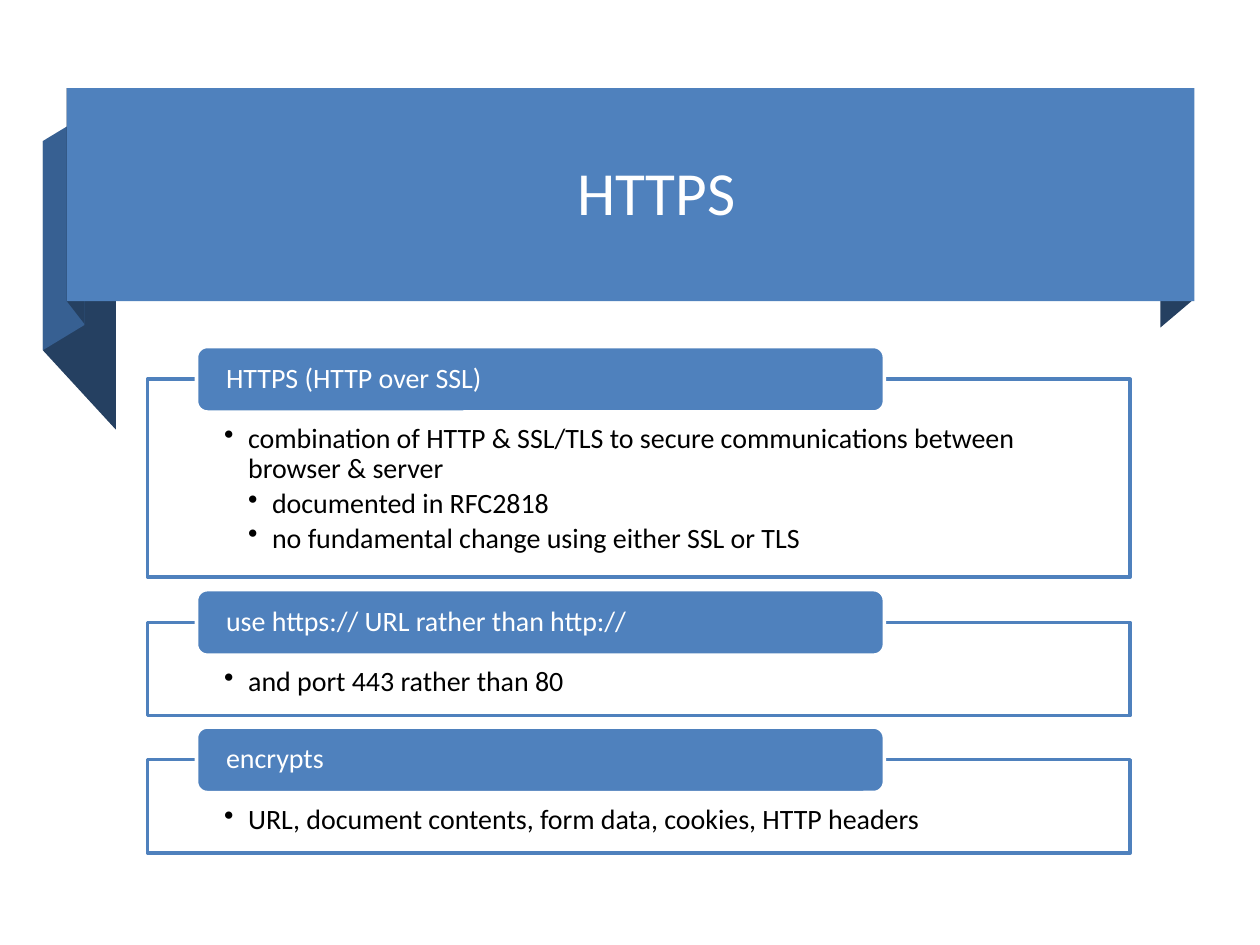
from lxml import etree
from pptx import Presentation
from pptx.dml.color import RGBColor
from pptx.enum.shapes import MSO_SHAPE
from pptx.enum.text import MSO_ANCHOR, PP_ALIGN
from pptx.oxml.ns import qn
from pptx.util import Inches, Pt

RECT, ROUNDED = MSO_SHAPE.RECTANGLE, MSO_SHAPE.ROUNDED_RECTANGLE
TOP, MIDDLE = MSO_ANCHOR.TOP, MSO_ANCHOR.MIDDLE
LEFT, CENTER = PP_ALIGN.LEFT, PP_ALIGN.CENTER
BLUE, MID_BLUE, NAVY = "4F81BD", "376092", "254061"
WHITE, BLACK = "FFFFFF", "000000"
FOLDS = [
    (NAVY, [(9.47, 2.38), (9.21, 2.6), (9.21, 0.91), (9.47, 0.7)]),
    (NAVY, [(0.92, 3.41), (0.34, 2.78), (0.34, 1.12), (0.92, 1.75)]),
    (MID_BLUE, [(0.67, 2.58), (0.34, 2.78), (0.34, 1.12), (0.67, 0.92)]),
    (NAVY, [(0.67, 2.57), (0.53, 2.39), (0.53, 0.7), (0.67, 0.89)]),
]
SECTIONS = [
    (3.01, 1.57, "HTTPS (HTTP over SSL)", [
        (1, "combination of HTTP & SSL/TLS to secure communications between browser & server"),
        (2, "documented in RFC2818"),
        (2, "no fundamental change using either SSL or TLS")]),
    (4.94, 0.74, "use https:// URL rather than http://", [
        (1, "and port 443 rather than 80")]),
    (6.03, 0.74, "encrypts", [
        (1, "URL, document contents, form data, cookies, HTTP headers")]),
]


def rgb(value):
    """Return the colour for a hex string."""
    return RGBColor.from_string(value)


def paint(s, fill, line=None, alpha=None):
    """Set fill, outline and opacity percentage of a shape."""
    s.shadow.inherit = False
    s.fill.solid()
    s.fill.fore_color.rgb = rgb(fill)
    if alpha:
        color = s.fill._xPr.find(qn("a:solidFill"))[0]
        etree.SubElement(color, qn("a:alpha"), val=str(alpha * 1000))
    if line:
        s.line.color.rgb = rgb(line)
        s.line.width = Pt(2)
    else:
        s.line.fill.background()


def add_box(slide, kind, box, fill, **style):
    """Add a painted preset shape."""
    s = slide.shapes.add_shape(kind, *map(Inches, box))
    paint(s, fill, **style)
    return s


def add_fold(slide, fill, points):
    """Add one folded face of the ribbon."""
    (x, y), *rest = points
    builder = slide.shapes.build_freeform(Inches(x), Inches(y))
    builder.add_line_segments([(Inches(a), Inches(b)) for a, b in rest])
    paint(builder.convert_to_shape(), fill)


def set_frame(s, insets, anchor):
    """Set wrapping, insets and anchor of a text frame."""
    tf = s.text_frame
    tf.word_wrap = True
    tf.margin_left, tf.margin_top, tf.margin_right, tf.margin_bottom = map(Inches, insets)
    tf.vertical_anchor = anchor
    return tf


def write(p, text, size=16, color=WHITE, align=LEFT, level=0, after=0):
    """Write a paragraph, bulleted when it has a level."""
    p.alignment = align
    p.line_spacing = 0.9
    p.space_after = Pt(after)
    if level:
        p.level = level
        pPr = p._p.get_or_add_pPr()
        pPr.set("marL", str(Inches(0.19 * level)))
        pPr.set("indent", str(Inches(-0.19)))
        etree.SubElement(pPr, qn("a:buChar"), char="•")
    r = p.add_run()
    r.text = text
    r.font.name = "Calibri"
    r.font.size = Pt(size)
    r.font.color.rgb = rgb(color)


def add_banner(slide, title):
    """Add the ribbon and its title."""
    for fill, points in FOLDS:
        add_fold(slide, fill, points)
    add_box(slide, RECT, (0.53, 0.7, 8.95, 1.69), BLUE)
    s = slide.shapes.add_textbox(*map(Inches, (1.11, 0.83, 8.2, 1.45)))
    tf = set_frame(s, (0.1, 0.05, 0.1, 0.05), MIDDLE)
    write(tf.paragraphs[0], title, size=35, align=CENTER)


def add_section(slide, top, height, heading, bullets):
    """Add an outlined panel with bullets and a heading tab on its top edge."""
    s = add_box(slide, RECT, (1.17, top, 7.8, height), WHITE, line=BLUE, alpha=90)
    tf = set_frame(s, (0.61, 0.36, 0.61, 0.12), TOP)
    for i, (level, text) in enumerate(bullets):
        p = tf.add_paragraph() if i else tf.paragraphs[0]
        write(p, text, color=BLACK, level=level, after=2.5)
    s = add_box(slide, ROUNDED, (1.56, top - 0.26, 5.46, 0.52), BLUE, line=WHITE)
    tf = set_frame(s, (0.21, 0, 0.21, 0), MIDDLE)
    write(tf.paragraphs[0], heading)


def main():
    """Build and save the slide."""
    prs = Presentation()
    prs.slide_width, prs.slide_height = Inches(10), Inches(7.5)
    slide = prs.slides.add_slide(prs.slide_layouts[6])
    add_banner(slide, "HTTPS")
    for section in SECTIONS:
        add_section(slide, *section)
    prs.save("out.pptx")


if __name__ == "__main__":
    main()
